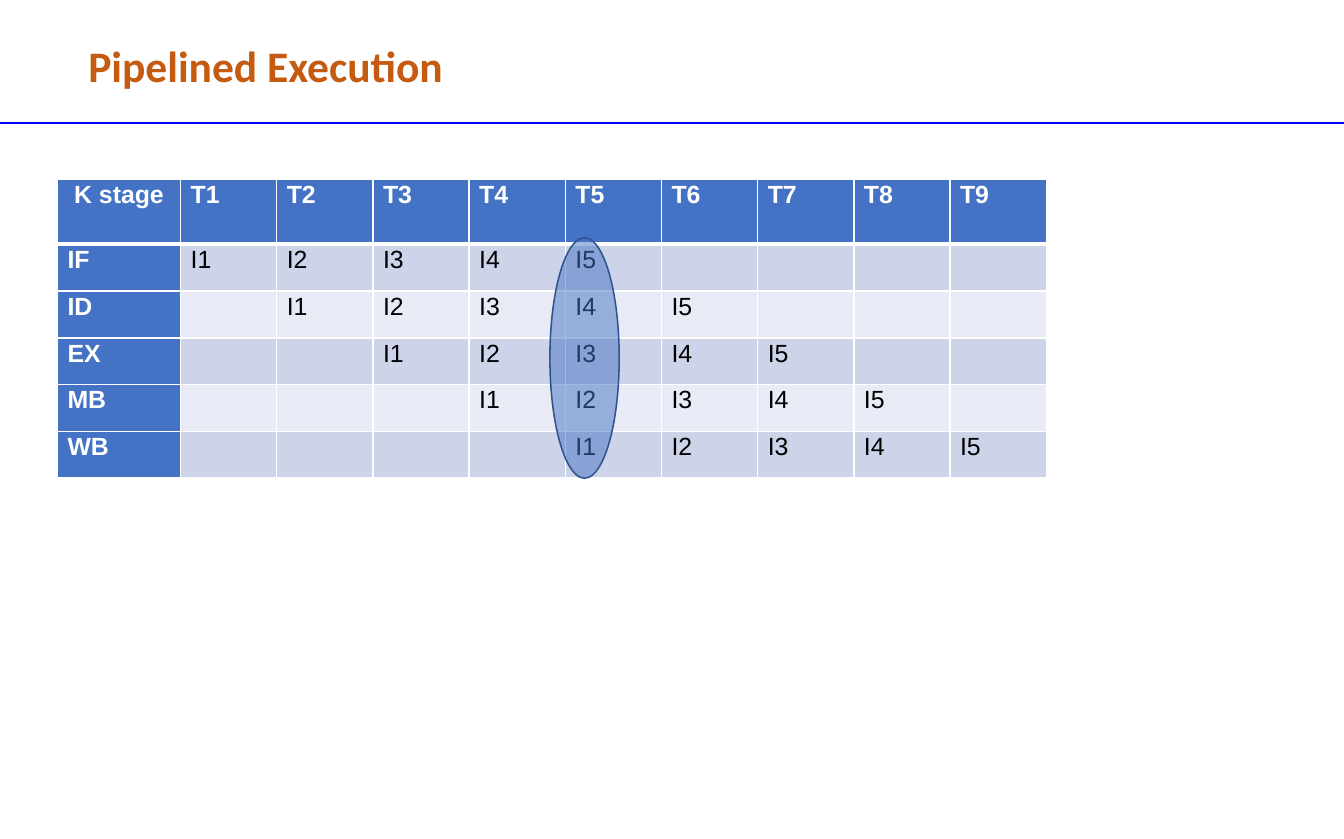
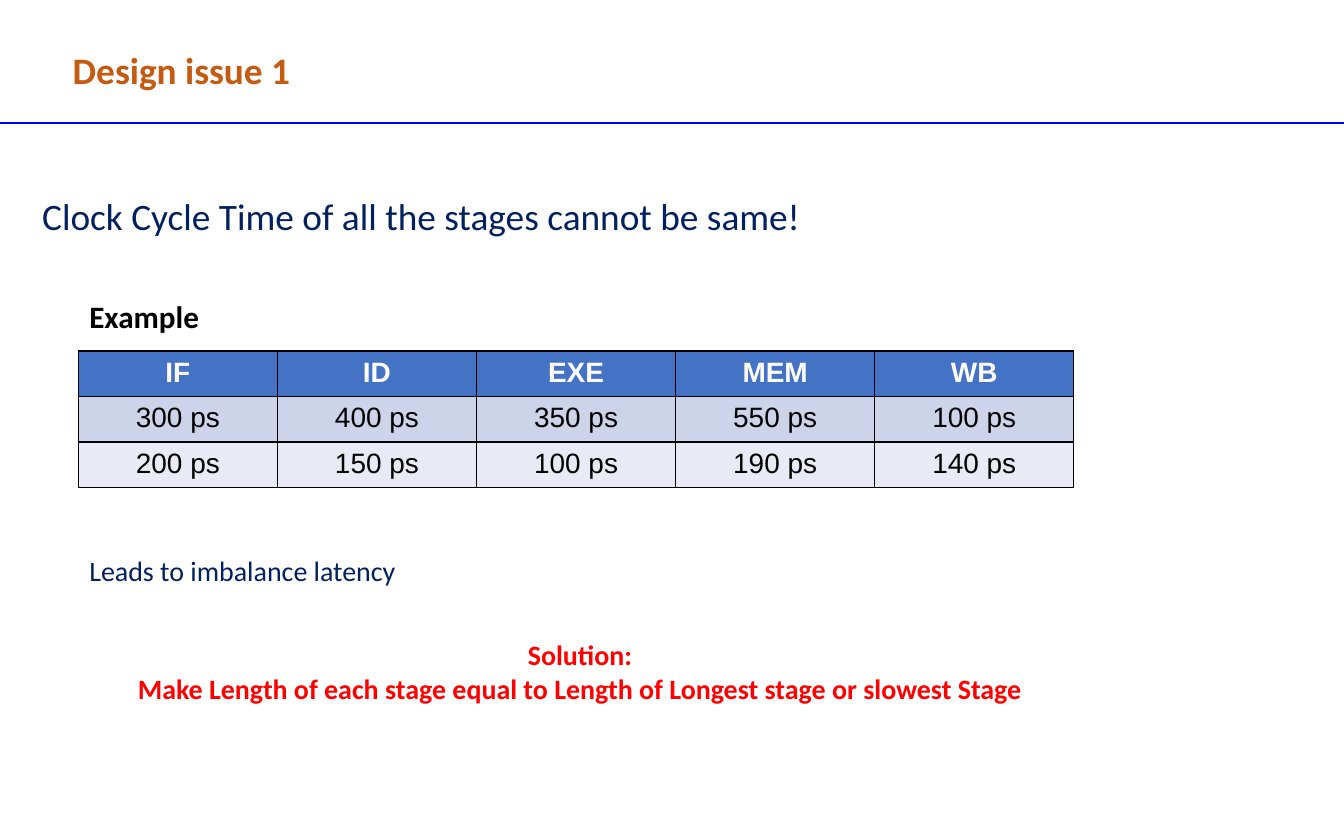
from dataclasses import dataclass

from lxml.etree import SubElement
from pptx import Presentation
from pptx.dml.color import RGBColor
from pptx.enum.shapes import MSO_CONNECTOR, MSO_SHAPE
from pptx.enum.text import MSO_ANCHOR, MSO_AUTO_SIZE, PP_ALIGN
from pptx.oxml.ns import qn
from pptx.util import Pt


@dataclass(frozen=True)
class Theme:
    accent: str = "4472C4"
    accent_edge: str = "31538F"
    bands: tuple = ("CDD4EA", "E8EBF5")
    heading: str = "C55A11"
    divider: str = "0000FF"
    navy: str = "002060"
    alert: str = "FF0000"
    black: str = "000000"
    white: str = "FFFFFF"
    text_font: str = "Calibri"
    table_font: str = "Arial"
    display: int = 28
    large: int = 24
    label: int = 20
    body: int = 18
    compact: int = 16


THEME = Theme()
SLIDE_WIDTH, SLIDE_HEIGHT = 864.72, 540
DIVIDER_TOP = 79.2


def apply(target, values):
    for name, value in values.items():
        setattr(target, name, value)


def place(box, bounds):
    apply(box, dict(zip(("left", "top", "width", "height"), map(Pt, bounds))))


def write(frame, lines, size, color, bold=False, font=THEME.text_font,
          align=PP_ALIGN.LEFT, spacing=1.0):
    """Fill a text frame with one paragraph per line, all in one style."""
    for index, line in enumerate(lines):
        paragraph = frame.paragraphs[0] if index == 0 else frame.add_paragraph()
        apply(paragraph, {"alignment": align, "line_spacing": spacing})
        run = paragraph.add_run()
        run.text = line
        apply(run.font, {"name": font, "size": Pt(size), "bold": bold})
        run.font.color.rgb = RGBColor.from_string(color)


def set_borders(cell, color, bottom=1):
    """Outline a cell; must run before its fill is set, to keep XML order."""
    properties = cell._tc.get_or_add_tcPr()
    for side, width in (("L", 1), ("R", 1), ("T", 1), ("B", bottom)):
        edge = SubElement(properties, qn(f"a:ln{side}"), w=str(Pt(width)))
        SubElement(SubElement(edge, qn("a:solidFill")), qn("a:srgbClr"), val=color)


class Deck:
    def __init__(self, theme):
        self.theme = theme
        self.presentation = Presentation()
        apply(self.presentation, {"slide_width": Pt(SLIDE_WIDTH),
                                  "slide_height": Pt(SLIDE_HEIGHT)})
        self.slide = None

    def add_slide(self, heading, bounds, size):
        """Start a slide with its heading and the divider below it."""
        title_only = self.presentation.slide_layouts[5]
        self.slide = self.presentation.slides.add_slide(title_only)
        title = self.slide.shapes.title
        place(title, bounds)
        apply(title.text_frame, {"vertical_anchor": MSO_ANCHOR.TOP, "word_wrap": True,
                                 "auto_size": MSO_AUTO_SIZE.NONE})
        write(title.text_frame, [heading], size, self.theme.heading, bold=True)
        self.add_divider()

    def add_divider(self):
        divider = self.slide.shapes.add_connector(
            MSO_CONNECTOR.STRAIGHT, 0, Pt(DIVIDER_TOP), Pt(SLIDE_WIDTH), Pt(DIVIDER_TOP))
        divider.line.width = Pt(0.75)
        divider.line.color.rgb = RGBColor.from_string(self.theme.divider)
        SubElement(divider._element.spPr, qn("a:effectLst"))

    def add_text(self, lines, bounds, size, color, **style):
        box = self.slide.shapes.add_textbox(*map(Pt, bounds))
        box.text_frame.word_wrap = True
        write(box.text_frame, lines, size, color, **style)

    def add_table(self, rows, origin, widths, heights, size, border, margins,
                  header_rule=1, row_headers=False, spacing=1.0, align=None):
        """Draw a banded table; align(row, column) gives each cell's alignment."""
        theme = self.theme
        bounds = (*origin, sum(widths), sum(heights))
        table = self.slide.shapes.add_table(
            len(rows), len(rows[0]), *map(Pt, bounds)).table
        apply(table, {"first_col": row_headers, "horz_banding": False})
        for column, width in zip(table.columns, widths):
            column.width = Pt(width)
        side, end = map(Pt, margins)
        for r, (values, height) in enumerate(zip(rows, heights)):
            table.rows[r].height = Pt(height)
            for c, value in enumerate(values):
                cell = table.cell(r, c)
                is_header = r == 0 or (row_headers and c == 0)
                apply(cell, {"margin_left": side, "margin_right": side,
                             "margin_top": end, "margin_bottom": end})
                set_borders(cell, border, header_rule if r == 0 else 1)
                cell.fill.solid()
                cell.fill.fore_color.rgb = RGBColor.from_string(
                    theme.accent if is_header else theme.bands[(r - 1) % 2])
                if value:
                    write(cell.text_frame, [value], size,
                          theme.white if is_header else theme.black, bold=is_header,
                          font=theme.table_font, align=align(r, c), spacing=spacing)

    def add_highlight(self, bounds):
        """Lay a half-transparent ellipse over the slide."""
        ellipse = self.slide.shapes.add_shape(MSO_SHAPE.OVAL, *map(Pt, bounds))
        ellipse.shadow.inherit = False
        ellipse.fill.solid()
        ellipse.fill.fore_color.rgb = RGBColor.from_string(self.theme.accent)
        tint = ellipse._element.spPr.find(qn("a:solidFill")).find(qn("a:srgbClr"))
        SubElement(tint, qn("a:alpha"), val="50000")
        ellipse.line.width = Pt(1)
        ellipse.line.color.rgb = RGBColor.from_string(self.theme.accent_edge)


def pipeline_rows(stages, instructions):
    """Each stage handles the instructions one cycle after the stage before."""
    cycles = len(stages) + instructions - 1
    header = ["K stage"] + [f"T{cycle}" for cycle in range(1, cycles + 1)]
    return [header] + [
        [stage] + [f"I{cycle - delay + 1}" if 0 <= cycle - delay < instructions else ""
                   for cycle in range(cycles)]
        for delay, stage in enumerate(stages)]


def build_pipeline_slide(deck):
    theme = deck.theme
    deck.add_slide("Pipelined Execution", (49.7, 21.6, 294.5, 41), theme.display)
    deck.add_table(
        pipeline_rows(["IF", "ID", "EX", "MB", "WB"], 5), (37, 115.5),
        [79.2] + [61.9] * 9, [41.8] + [30.1] * 5, theme.compact, theme.white,
        margins=(6.5, 0), header_rule=3, row_headers=True, spacing=1.07,
        align=lambda r, c: PP_ALIGN.CENTER if r == c == 0 else PP_ALIGN.LEFT)
    deck.add_highlight((353.8, 153, 44.6, 154.8))


def build_design_issue_slide(deck):
    theme = deck.theme
    deck.add_slide("Design issue 1", (39.6, 26.6, 187.2, 36), theme.large)
    deck.add_text(["Clock Cycle Time of all the stages cannot be same!"],
                  (20, 121, 608.4, 36), theme.large, theme.navy)
    deck.add_table(
        [["IF", "ID", "EXE", "MEM", "WB"],
         ["300 ps", "400 ps", "350 ps", "550 ps", "100 ps"],
         ["200 ps", "150 ps", "100 ps", "190 ps", "140 ps"]],
        (50.4, 226), [128.1] * 5, [29.3] * 3, theme.body, theme.black,
        margins=(8.6, 3.6), align=lambda r, c: PP_ALIGN.CENTER)
    deck.add_text(["Example"], (50.4, 188, 103, 31.5), theme.label, theme.black, bold=True)
    deck.add_text(["Leads to imbalance latency"], (50.4, 352.8, 257, 29),
                  theme.body, theme.navy)
    deck.add_text(
        ["Solution:",
         "Make Length of each stage equal to Length of Longest stage or slowest Stage"],
        (20, 406.8, 706.3, 51), theme.body, theme.alert, bold=True, align=PP_ALIGN.CENTER)


def main():
    deck = Deck(THEME)
    build_pipeline_slide(deck)
    build_design_issue_slide(deck)
    deck.presentation.save("out.pptx")


if __name__ == "__main__":
    main()
